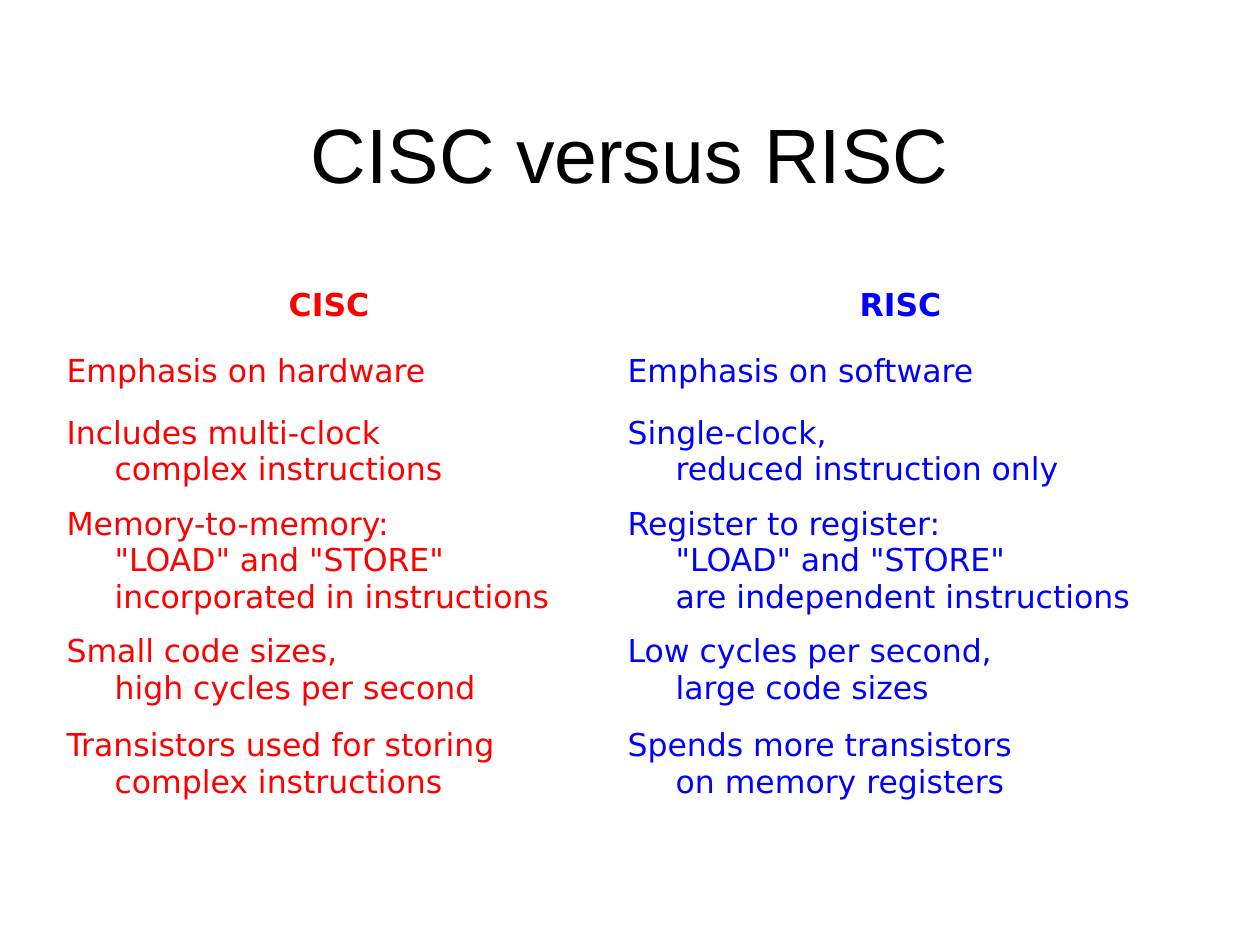
import pptx
import pptx.util
import pptx.dml.color
import pptx.enum.text

SCALE = 914400 / 126
COLORS = {"title": "000000", "cisc": "FF0000", "risc": "0000FF"}
COLS = [561, 582]
ROWS = [
    (66, "CISC ", "RISC "),
    (66, "Emphasis on hardware", "Emphasis on software"),
    (93, "Includes multi-clock\ncomplex instructions",
     "Single-clock,\nreduced instruction only"),
    (126, 'Memory-to-memory:\n"LOAD" and "STORE"\nincorporated in instructions',
     'Register to register:\n"LOAD" and "STORE"\nare independent instructions'),
    (93, "Small code sizes,\nhigh cycles per second",
     "Low cycles per second,\nlarge code sizes"),
    (94, "Transistors used for storing\ncomplex instructions",
     "Spends more transistors\non memory registers"),
]


def px(n):
    return pptx.util.Emu(round(n * SCALE))


def write(frame, text, color, size=18, font="DejaVu Sans", bold=False,
          center=False, hang=0, space=None):
    para = frame.paragraphs[0]
    para.text = text
    align = pptx.enum.text.PP_ALIGN
    para.alignment = align.CENTER if center else align.LEFT
    if space:
        para.line_spacing = space
    if hang:
        props = para._p.get_or_add_pPr()
        props.set("marL", str(px(hang)))
        props.set("indent", str(-px(hang)))
    for run in para.runs:
        run.font.name = font
        run.font.size = pptx.util.Pt(size)
        run.font.bold = bold
        run.font.color.rgb = pptx.dml.color.RGBColor.from_string(COLORS[color])


def add_title(slide):
    title = slide.shapes.title
    title.left, title.top, title.width, title.height = map(px, (63, 63, 1134, 189))
    title.text_frame.vertical_anchor = pptx.enum.text.MSO_ANCHOR.MIDDLE
    write(title.text_frame, "CISC versus RISC", "title", size=44,
          font="Arial", center=True, space=0.93)


def add_grid(slide):
    high = sum(row[0] for row in ROWS)
    table = slide.shapes.add_table(len(ROWS), len(COLS), px(54), px(273),
                                   px(sum(COLS)), px(high)).table
    table.first_row = False
    table.horz_banding = False
    for col, width in zip(table.columns, COLS):
        col.width = px(width)
    for i, (height, *texts) in enumerate(ROWS):
        table.rows[i].height = px(height)
        for j, (text, color) in enumerate(zip(texts, ("cisc", "risc"))):
            cell = table.cell(i, j)
            cell.fill.background()
            cell.vertical_anchor = pptx.enum.text.MSO_ANCHOR.MIDDLE
            write(cell.text_frame, text, color, bold=i == 0, center=i == 0, hang=48)


def main():
    deck = pptx.Presentation()
    deck.slide_width, deck.slide_height = px(1260), px(945)
    slide = deck.slides.add_slide(deck.slide_layouts[5])
    add_title(slide)
    add_grid(slide)
    deck.save("out.pptx")


if __name__ == "__main__":
    main()
